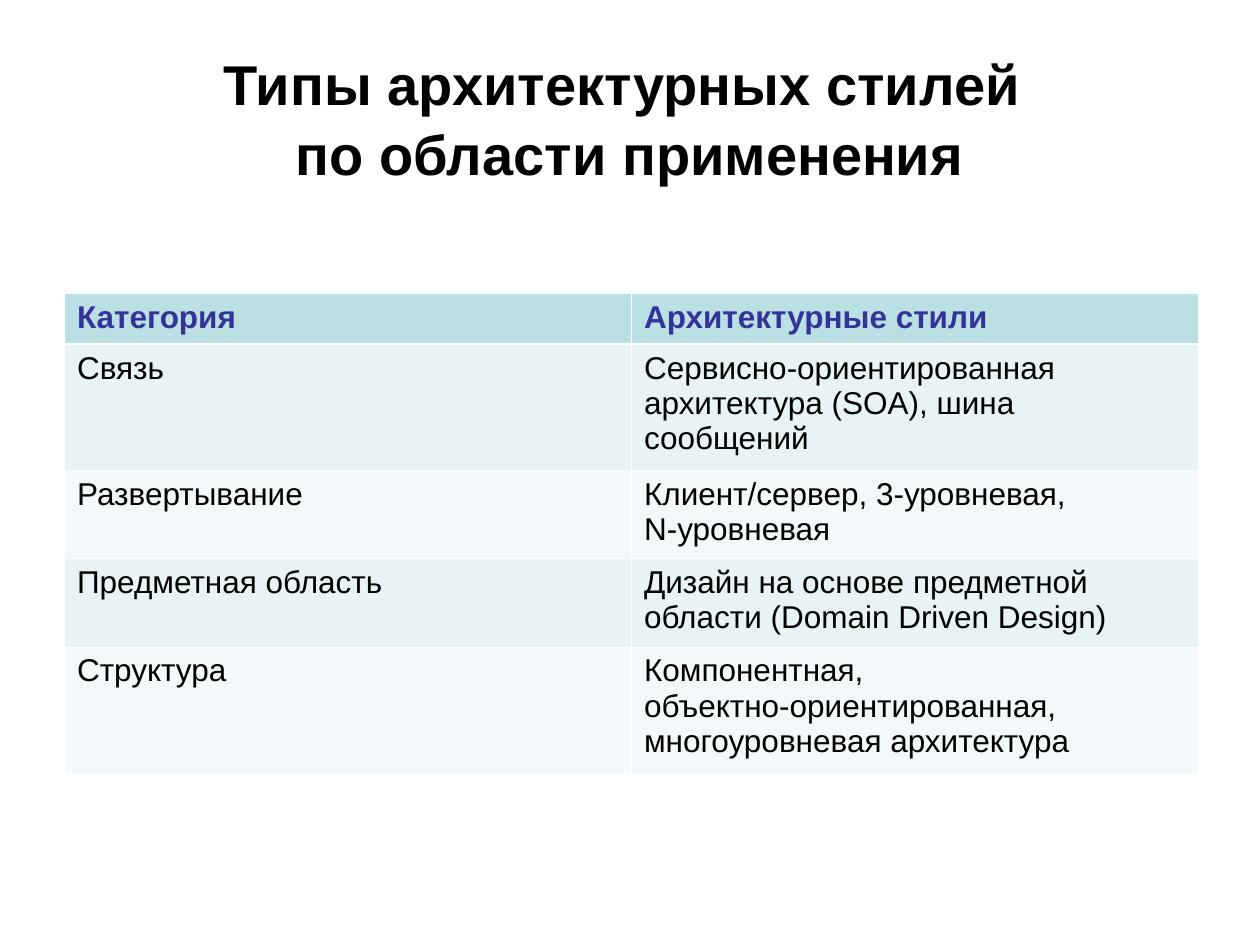
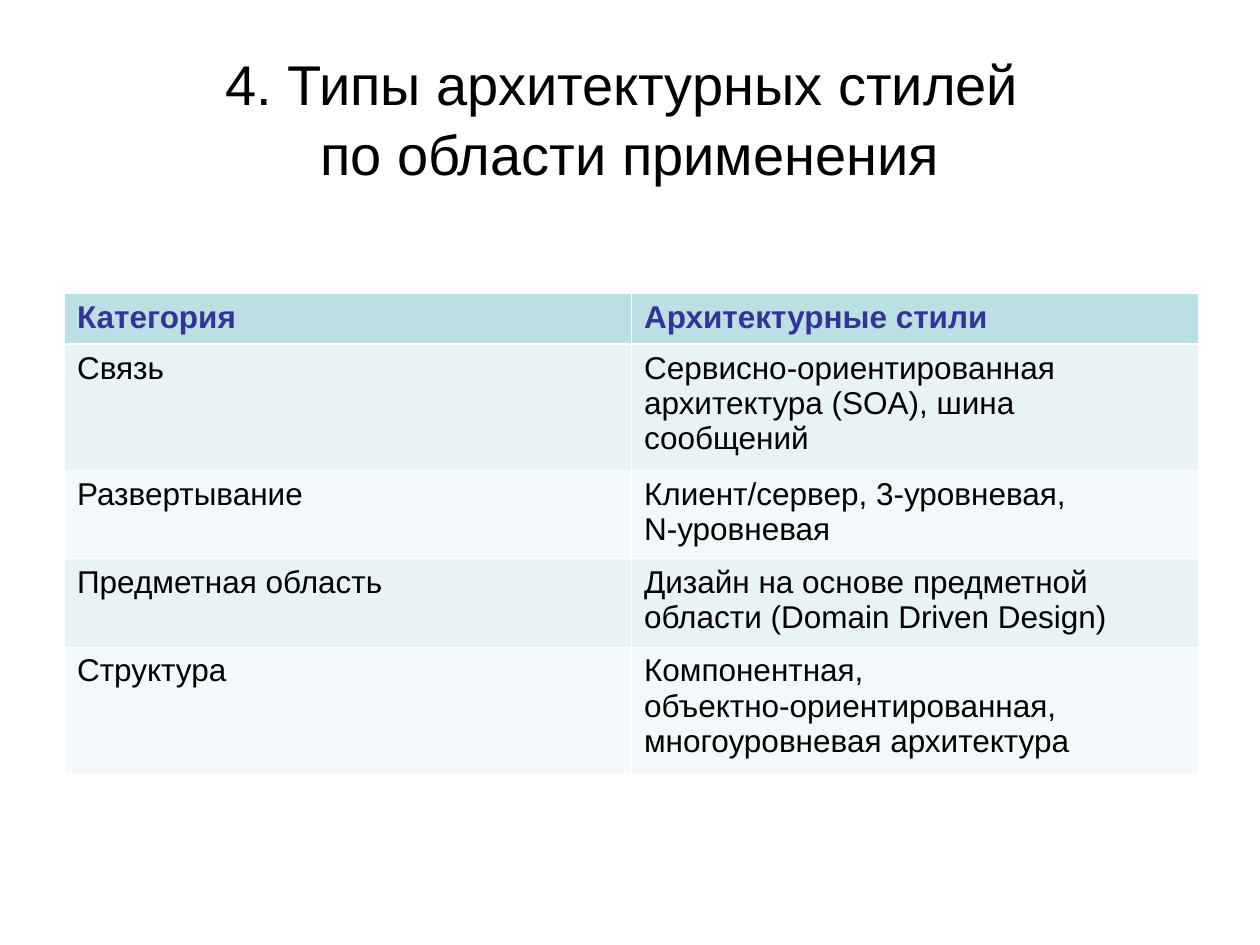
from dataclasses import dataclass

from lxml.etree import SubElement
from pptx import Presentation
from pptx.dml.color import RGBColor
from pptx.enum.text import MSO_ANCHOR, PP_ALIGN
from pptx.oxml.ns import qn
from pptx.slide import Slide
from pptx.table import _Cell
from pptx.text.text import _Paragraph
from pptx.util import Cm, Pt

FONT = "Arial"
BLACK = "000000"
WHITE = "FFFFFF"
HEADING_INK = "333399"
HEADING_FILL = "BBE0E3"
BAND_FILLS = ("E7F3F4", "F3F9FA")
THIN_RULE = Pt(0.45)
HEADING_RULE = Pt(1.47)
COLUMN_WIDTH = Cm(11.43)


@dataclass(frozen=True)
class StyleRow:
    category: str
    styles: str
    height: Cm


@dataclass(frozen=True)
class Heading:
    text: str
    bold: bool


ROWS = (
    StyleRow("Категория", "Архитектурные стили", Cm(1.02)),
    StyleRow("Связь", "Сервисно-ориентированная архитектура (SOA), шина сообщений", Cm(2.54)),
    StyleRow("Развертывание", "Клиент/сервер, 3-уровневая, \nN-уровневая", Cm(1.78)),
    StyleRow("Предметная область", "Дизайн на основе предметной области (Domain Driven Design)", Cm(1.78)),
    StyleRow("Структура", "Компонентная, \nобъектно-ориентированная, многоуровневая архитектура", Cm(2.54)),
)

HEADINGS = (
    Heading("Типы архитектурных стилей \nпо области применения", True),
    Heading("4. Типы архитектурных стилей \nпо области применения", False),
)


def rgb(value: str) -> RGBColor:
    return RGBColor.from_string(value)


def write(paragraph: _Paragraph, text: str, size: int, color: str, bold: bool) -> None:
    paragraph.text = text
    font = paragraph.font
    font.name, font.size, font.bold = FONT, Pt(size), bold
    font.color.rgb = rgb(color)


def add_heading(slide: Slide, heading: Heading) -> None:
    frame = slide.shapes.add_textbox(Cm(1.27), Cm(0.76), Cm(22.86), Cm(3.18)).text_frame
    frame.word_wrap = True
    frame.vertical_anchor = MSO_ANCHOR.MIDDLE
    paragraph = frame.paragraphs[0]
    paragraph.alignment = PP_ALIGN.CENTER
    paragraph.line_spacing = 1.04
    write(paragraph, heading.text, 32, BLACK, heading.bold)


def set_borders(cell: _Cell, top: int, bottom: int) -> None:
    """Rule the cell in white; must run before the cell's fill is set."""
    properties = cell._tc.get_or_add_tcPr()
    widths = {"a:lnL": THIN_RULE, "a:lnR": THIN_RULE, "a:lnT": top, "a:lnB": bottom}
    for tag, width in widths.items():
        line = SubElement(properties, qn(tag), w=str(int(width)))
        SubElement(SubElement(line, qn("a:solidFill")), qn("a:srgbClr"), val=WHITE)


def add_styles_table(slide: Slide) -> None:
    total_height = sum(row.height for row in ROWS)
    table = slide.shapes.add_table(
        len(ROWS), 2, Cm(1.3), Cm(5.92), 2 * COLUMN_WIDTH, total_height
    ).table
    table.horz_banding = False
    for column in table.columns:
        column.width = COLUMN_WIDTH
    for index, row in enumerate(ROWS):
        table.rows[index].height = row.height
        is_heading = index == 0
        fill = HEADING_FILL if is_heading else BAND_FILLS[(index - 1) % 2]
        ink = HEADING_INK if is_heading else BLACK
        top = HEADING_RULE if index == 1 else THIN_RULE
        bottom = HEADING_RULE if is_heading else THIN_RULE
        for cell, text in zip(table.rows[index].cells, (row.category, row.styles)):
            set_borders(cell, top, bottom)
            cell.fill.solid()
            cell.fill.fore_color.rgb = rgb(fill)
            write(cell.text_frame.paragraphs[0], text, 18, ink, is_heading)


def main() -> None:
    deck = Presentation()
    deck.slide_width, deck.slide_height = Cm(25.4), Cm(19.05)
    for heading in HEADINGS:
        slide = deck.slides.add_slide(deck.slide_layouts[6])
        add_heading(slide, heading)
        add_styles_table(slide)
    deck.save("out.pptx")


if __name__ == "__main__":
    main()
